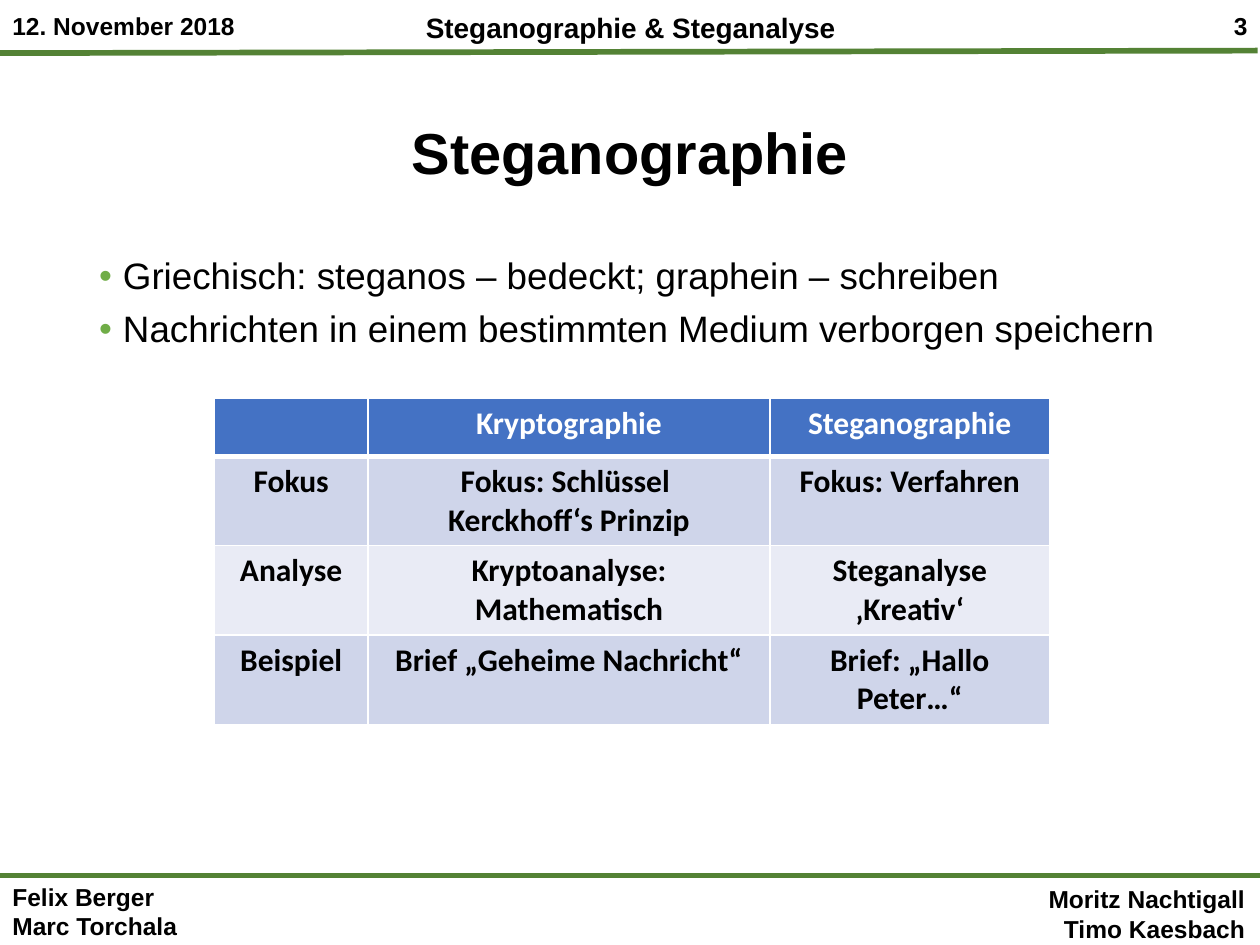
from lxml.etree import SubElement
from pptx import Presentation
from pptx.dml.color import RGBColor
from pptx.enum.shapes import MSO_CONNECTOR as Connector
from pptx.enum.text import MSO_ANCHOR as Anchor, MSO_AUTO_SIZE as AutoSize, PP_ALIGN as Align
from pptx.oxml.ns import qn
from pptx.util import Cm, Pt

THEME = {
    "sans": "Arial", "table_font": "Calibri",
    "text": "000000", "light": "FFFFFF", "rule": "548235", "bullet": "70AD47",
    "head_fill": "4472C4", "band_fills": ("CFD5EA", "E9EBF5"),
    "title": 33, "body": 21, "table": 18, "header": 16, "small": 14,
    "rule_width": 3.25, "border": 1, "head_border": 3,
}

# Content: positions in cm as left, top, width, height
TITLE = ("Steganographie", (1.75, 1.3, 21.9, 3.68))
MARGINALS = [
    (["Steganographie & Steganalyse"], (5.97, 0.08, 13.49, 0.94), Align.CENTER, "header"),
    (["12. November 2018"], (0, 0.1, 6.58, 0.86), Align.LEFT, "small"),
    (["3"], (23.83, 0.1, 1.57, 0.86), Align.RIGHT, "small"),
    (["Felix Berger\vMarc Torchala"], (0, 17.65, 7.67, 1.45), Align.LEFT, "small"),
    (["Moritz Nachtigall", "Timo Kaesbach"], (20.78, 17.7, 4.57, 1.45), Align.RIGHT, "small"),
]
RULES = [(-0.05, 1.07, 25.35, 1.02), (0, 17.65, 25.43, 17.65)]
BULLETS = [
    "Griechisch: steganos – bedeckt; graphein – schreiben",
    "Nachrichten in einem bestimmten Medium verborgen speichern",
]
BULLET_BOX = (1.75, 5.08, 21.9, 2.6)
BULLET_INDENT = 0.48
COMPARISON = [
    ("", "Kryptographie", "Steganographie"),
    ("Fokus", "Fokus: Schlüssel \nKerckhoff‘s Prinzip", "Fokus: Verfahren"),
    ("Analyse", "Kryptoanalyse: Mathematisch", "Steganalyse ‚Kreativ‘"),
    ("Beispiel", "Brief „Geheime Nachricht“", "Brief: „Hallo Peter…“"),
]
TABLE_CORNER = (4.32, 8.03)
COLUMN_WIDTHS = (3.1, 8.1, 5.64)
ROW_HEIGHTS = (1.17, 1.8, 1.8, 1.8)


def rgb(name):
    return RGBColor.from_string(THEME.get(name, name))


def format_para(para, size, align=Align.LEFT, color="text", font="sans", bold=True, **spacing):
    for key, value in {"alignment": align, **spacing}.items():
        setattr(para, key, value)
    values = {"name": THEME[font], "size": Pt(THEME[size]), "bold": bold}
    for span in para.runs:
        for key, value in values.items():
            setattr(span.font, key, value)
        span.font.color.rgb = rgb(color)


def add_text(page, lines, place, **style):
    box = page.shapes.add_textbox(*map(Cm, place))
    frame = box.text_frame
    frame.word_wrap = True
    for number, line in enumerate(lines):
        para = frame.add_paragraph() if number else frame.paragraphs[0]
        para.text = line
        format_para(para, **style)
    return frame


def add_bullet(para):
    props = para._p.get_or_add_pPr()
    props.set("marL", str(Cm(BULLET_INDENT)))
    props.set("indent", str(-Cm(BULLET_INDENT)))
    color = SubElement(props, qn("a:buClr"))
    SubElement(color, qn("a:srgbClr"), val=THEME["bullet"])
    SubElement(props, qn("a:buFont"), typeface=THEME["sans"])
    SubElement(props, qn("a:buChar"), char="•")


def add_rule(page, ends):
    rule = page.shapes.add_connector(Connector.STRAIGHT, *map(Cm, ends))
    rule.line.color.rgb = rgb("rule")
    rule.line.width = Pt(THEME["rule_width"])
    SubElement(rule._element.spPr, qn("a:effectLst"))


def set_borders(cell, is_head):
    props = cell._tc.get_or_add_tcPr()
    for position, side in enumerate(("lnL", "lnR", "lnT", "lnB")):
        width = THEME["head_border" if is_head and side == "lnB" else "border"]
        line = props.makeelement(qn("a:" + side), {"w": str(Pt(width))})
        fill = SubElement(line, qn("a:solidFill"))
        SubElement(fill, qn("a:srgbClr"), val=THEME["light"])
        props.insert(position, line)


def add_comparison(page):
    size = (sum(COLUMN_WIDTHS), sum(ROW_HEIGHTS))
    table = page.shapes.add_table(len(COMPARISON), len(COLUMN_WIDTHS),
                                  *map(Cm, TABLE_CORNER + size)).table
    for column, width in zip(table.columns, COLUMN_WIDTHS):
        column.width = Cm(width)
    for number, (row, height) in enumerate(zip(table.rows, ROW_HEIGHTS)):
        row.height = Cm(height)
        is_head = number == 0
        fill = "head_fill" if is_head else THEME["band_fills"][(number - 1) % 2]
        for cell, text in zip(row.cells, COMPARISON[number]):
            cell.text = text
            cell.fill.solid()
            cell.fill.fore_color.rgb = rgb(fill)
            set_borders(cell, is_head)
            for para in cell.text_frame.paragraphs:
                format_para(para, "table", Align.CENTER,
                            "light" if is_head else "text", "table_font")


def main():
    deck = Presentation()
    deck.slide_width, deck.slide_height = Cm(25.4), Cm(19.05)
    page = deck.slides.add_slide(deck.slide_layouts[5])

    # Header and footer
    for lines, place, align, size in MARGINALS:
        add_text(page, lines, place, size=size, align=align)
    for ends in RULES:
        add_rule(page, ends)

    # Title
    text, place = TITLE
    title = page.shapes.title
    title.left, title.top, title.width, title.height = map(Cm, place)
    frame = title.text_frame
    frame.text = text
    frame.auto_size = AutoSize.NONE
    frame.vertical_anchor = Anchor.MIDDLE
    format_para(frame.paragraphs[0], "title", Align.CENTER, line_spacing=0.9)

    # Bullets and comparison table
    bullets = add_text(page, BULLETS, BULLET_BOX, size="body", bold=False,
                       line_spacing=0.9, space_before=Pt(7.5))
    for para in bullets.paragraphs:
        add_bullet(para)
    add_comparison(page)

    deck.save("out.pptx")


if __name__ == "__main__":
    main()
